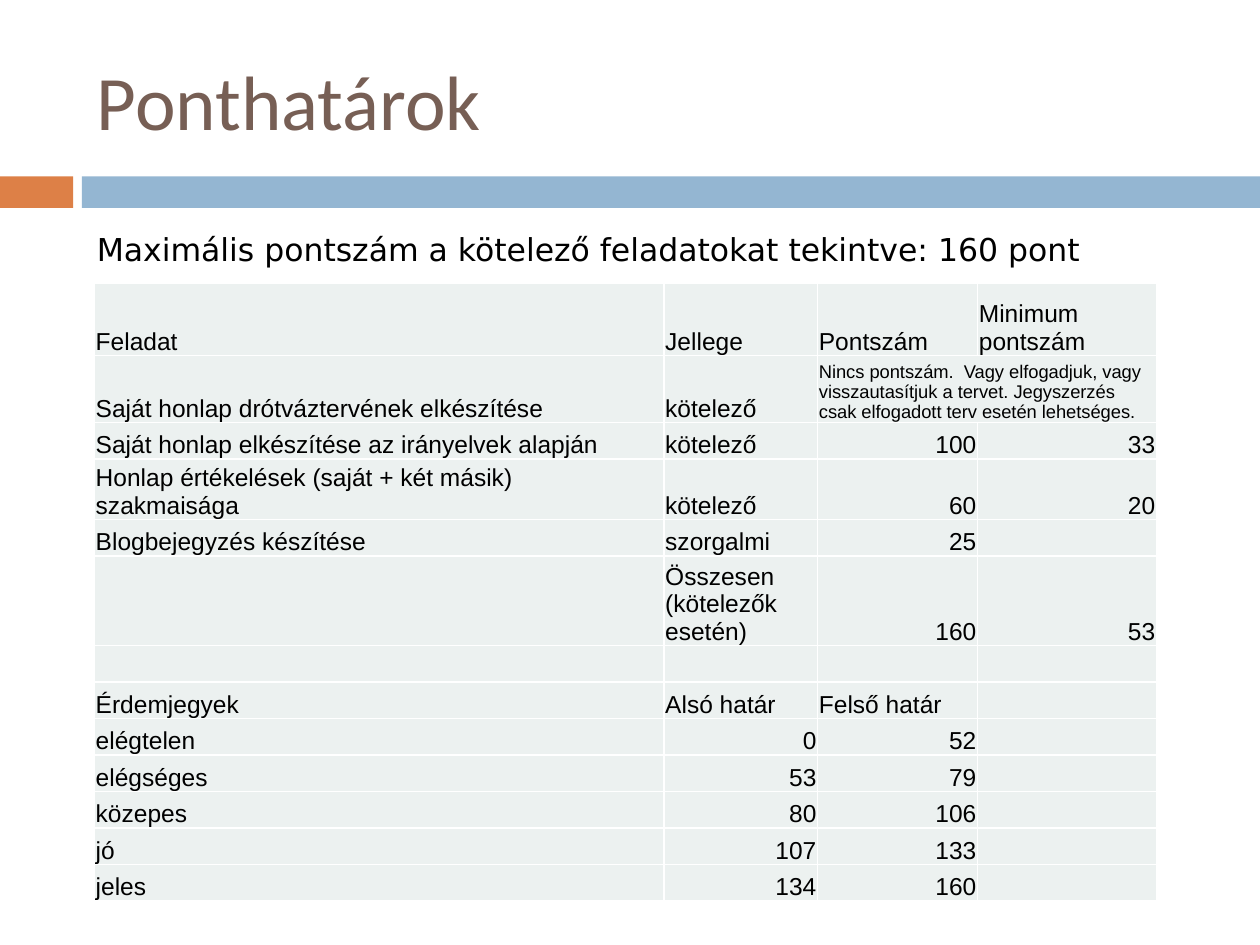
import dataclasses
import typing

import lxml.etree
import pptx
import pptx.dml.color
import pptx.enum.shapes
import pptx.enum.text
import pptx.oxml.ns
import pptx.util

RGB = pptx.dml.color.RGBColor
Inches = pptx.util.Inches
Align = pptx.enum.text.PP_ALIGN
Anchor = pptx.enum.text.MSO_ANCHOR

ORANGE = RGB(0xDD, 0x80, 0x47)
BLUE = RGB(0x94, 0xB6, 0xD2)
BROWN = RGB(0x77, 0x5F, 0x55)
BLACK = RGB(0, 0, 0)
PALE = RGB(0xEC, 0xF1, 0xF0)
WHITE = RGB(0xFF, 0xFF, 0xFF)

WIDTH, HEIGHT = 10, 7.5
BASE = 0.29
COLS = (4.52, 1.22, 1.27, 1.42)
NOTE = ("Nincs pontszám.  Vagy elfogadjuk, vagy visszautasítjuk a tervet. "
        "Jegyszerzés csak elfogadott terv esetén lehetséges.")


@dataclasses.dataclass(frozen=True)
class Bar:
    """A coloured band under the title."""
    left: float
    width: float
    color: RGB


@dataclasses.dataclass(frozen=True)
class Row:
    """One table row: its cells, height, and text size of the last cell."""
    cells: tuple[str, ...]
    height: float = BASE
    size: float = 14


BARS = (Bar(0, 0.58, ORANGE), Bar(0.65, WIDTH - 0.65, BLUE))
GRADES = (("elégtelen", 0, 52), ("elégséges", 53, 79), ("közepes", 80, 106),
          ("jó", 107, 133), ("jeles", 134, 160))
ROWS = (
    Row(("Feladat", "Jellege", "Pontszám", "Minimum pontszám"), 0.57),
    Row(("Saját honlap drótváztervének elkészítése", "kötelező", NOTE), 0.53, 10.5),
    Row(("Saját honlap elkészítése az irányelvek alapján", "kötelező", "100", "33")),
    Row(("Honlap értékelések (saját + két másik) szakmaisága", "kötelező", "60", "20")),
    Row(("Blogbejegyzés készítése", "szorgalmi", "25", "")),
    Row(("", "Összesen\v(kötelezők esetén)", "160", "53"), 0.71),
    Row(("", "", "", "")),
    Row(("Érdemjegyek", "Alsó határ", "Felső határ", "")),
    *(Row((name, str(low), str(high), "")) for name, low, high in GRADES),
)


def write(frame: typing.Any, text: str, *, size: float, font: str,
          color: RGB = BLACK, align: Align = Align.LEFT) -> None:
    """Put formatted text into the first paragraph of a frame."""
    para = frame.paragraphs[0]
    para.text = text
    para.alignment = align
    for run in para.runs:
        run.font.size = pptx.util.Pt(size)
        run.font.name = font
        run.font.color.rgb = color
    if not text:
        end = lxml.etree.SubElement(para._p, pptx.oxml.ns.qn("a:endParaRPr"))
        end.set("sz", str(int(size * 100)))


def label(slide: typing.Any, text: str, box: tuple[float, ...], *,
          anchor: Anchor = Anchor.TOP, wrap: bool = True,
          **style: typing.Any) -> None:
    """Add a text box."""
    frame = slide.shapes.add_textbox(*map(Inches, box)).text_frame
    frame.word_wrap = wrap
    frame.vertical_anchor = anchor
    write(frame, text, **style)


def band(slide: typing.Any, bar: Bar) -> None:
    """Draw one coloured band."""
    box = (bar.left, 1.4, bar.width, 0.25)
    shape = slide.shapes.add_shape(
        pptx.enum.shapes.MSO_SHAPE.RECTANGLE, *map(Inches, box))
    shape.shadow.inherit = False
    shape.fill.solid()
    shape.fill.fore_color.rgb = bar.color
    shape.line.fill.background()


def edge(cell: typing.Any) -> None:
    """Give a cell thin white borders, placed ahead of its fill."""
    props = cell._tc.get_or_add_tcPr()
    for spot, side in enumerate(("lnL", "lnR", "lnT", "lnB")):
        line = lxml.etree.Element(pptx.oxml.ns.qn(f"a:{side}"), w="12700")
        fill = lxml.etree.SubElement(line, pptx.oxml.ns.qn("a:solidFill"))
        lxml.etree.SubElement(fill, pptx.oxml.ns.qn("a:srgbClr"), val=str(WHITE))
        props.insert(spot, line)


def grid(slide: typing.Any) -> None:
    """Build the table of points and grades."""
    high = sum(row.height for row in ROWS)
    box = (0.75, 2.25, sum(COLS), high)
    table = slide.shapes.add_table(len(ROWS), len(COLS), *map(Inches, box)).table
    table.first_row = table.horz_banding = False
    for col, width in zip(table.columns, COLS):
        col.width = Inches(width)
    for y, row in enumerate(ROWS):
        table.rows[y].height = Inches(row.height)
        if len(row.cells) < len(COLS):
            table.cell(y, len(row.cells) - 1).merge(table.cell(y, len(COLS) - 1))
        for x in range(len(COLS)):
            cell = table.cell(y, x)
            cell.fill.solid()
            cell.fill.fore_color.rgb = PALE
            edge(cell)
            cell.margin_left = cell.margin_right = cell.margin_top = Inches(0.01)
            cell.margin_bottom = 0
            cell.vertical_anchor = Anchor.BOTTOM
            if x < len(row.cells):
                text = row.cells[x]
                write(cell.text_frame, text, font="Arial",
                      size=row.size if x == len(row.cells) - 1 else 14,
                      align=Align.RIGHT if text.isdigit() else Align.LEFT)


def main() -> None:
    """Build and save the slide."""
    deck = pptx.Presentation()
    deck.slide_width, deck.slide_height = Inches(WIDTH), Inches(HEIGHT)
    slide = deck.slides.add_slide(deck.slide_layouts[6])
    for bar in BARS:
        band(slide, bar)
    label(slide, "Ponthatárok", (0.67, 0.25, 8.92, 1.08), anchor=Anchor.MIDDLE,
          size=44, font="Calibri", color=BROWN)
    label(slide, "Maximális pontszám a kötelező feladatokat tekintve: 160 pont",
          (0.67, 1.78, 8.13, 0.4), wrap=False, size=18, font="DejaVu Sans")
    grid(slide)
    deck.save("out.pptx")


main()
